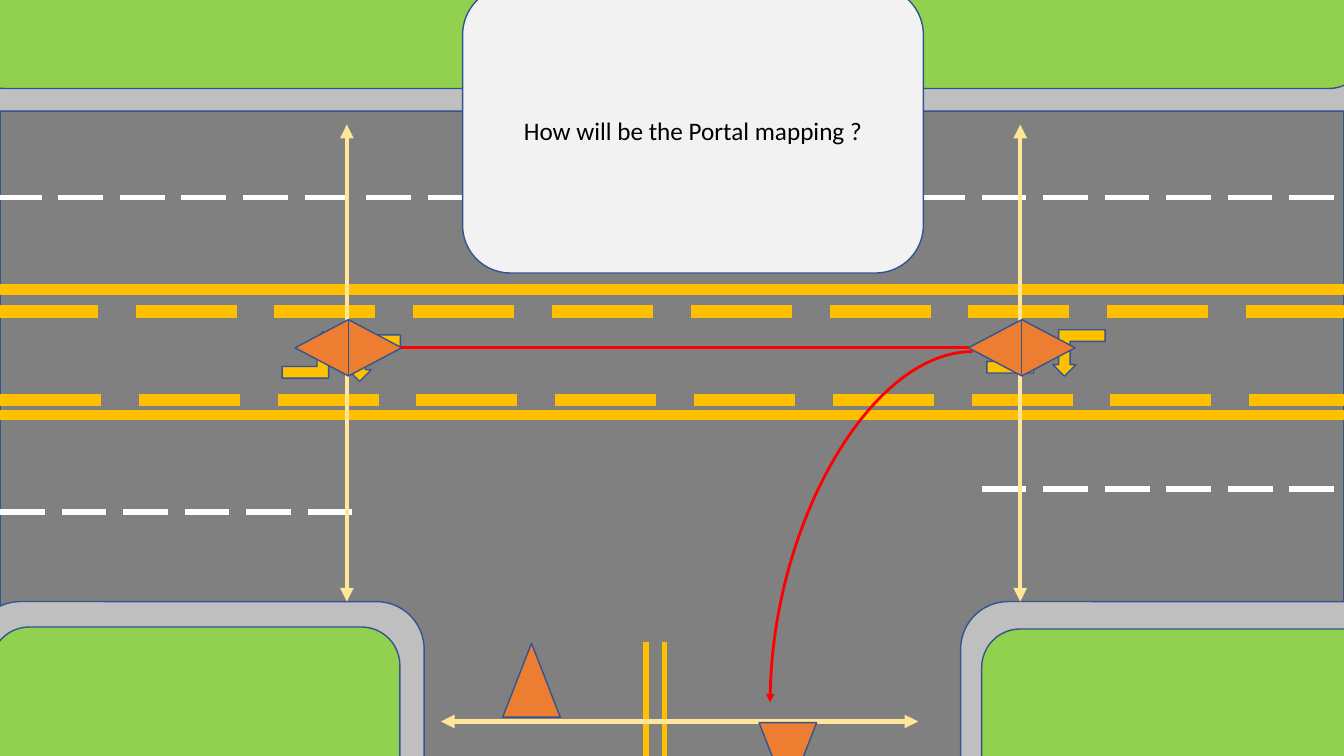
"""Build the road junction slide that asks how the portals map."""
from lxml.etree import SubElement
from pptx import Presentation
from pptx.dml.color import RGBColor
from pptx.enum.dml import MSO_LINE as Dash
from pptx.enum.shapes import MSO_CONNECTOR as Connector, MSO_SHAPE as Shape
from pptx.enum.text import MSO_ANCHOR as Anchor, PP_ALIGN as Align
from pptx.oxml.ns import qn
from pptx.util import Cm, Pt

ASPHALT = RGBColor(0x80, 0x80, 0x80)
CURB = RGBColor(0xBF, 0xBF, 0xBF)
GRASS = RGBColor(0x92, 0xD0, 0x50)
YELLOW = RGBColor(0xFF, 0xC0, 0x00)
CREAM = RGBColor(0xFF, 0xE6, 0x99)
ORANGE = RGBColor(0xED, 0x7D, 0x31)
CARD = RGBColor(0xF2, 0xF2, 0xF2)
OUTLINE = RGBColor(0x32, 0x54, 0x91)
WHITE = RGBColor(0xFF, 0xFF, 0xFF)
BLACK = RGBColor(0x00, 0x00, 0x00)
RED = RGBColor(0xFF, 0x00, 0x00)


class Junction:
    """Hold the text style and the slide, and draw each kind of element."""

    text_format = {"name": "Calibri", "size": Pt(18)}

    def __init__(self, slide):
        self.slide = slide

    def area(self, kind, left, top, width, height, color, rotation=0):
        shape = self.slide.shapes.add_shape(
            kind, Cm(left), Cm(top), Cm(width), Cm(height))
        shape.shadow.inherit = False
        shape.rotation = rotation
        shape.fill.solid()
        shape.fill.fore_color.rgb = color
        shape.line.color.rgb = OUTLINE
        shape.line.width = Pt(1)
        return shape

    def card(self, text, left, top, width, height):
        shape = self.area(Shape.ROUNDED_RECTANGLE, left, top, width, height, CARD)
        frame = shape.text_frame
        frame.word_wrap = True
        frame.vertical_anchor = Anchor.MIDDLE
        paragraph = frame.paragraphs[0]
        paragraph.alignment = Align.CENTER
        run = paragraph.add_run()
        run.text = text
        for name, value in self.text_format.items():
            setattr(run.font, name, value)
        run.font.color.rgb = BLACK

    def line(self, start, end, color, width, dash=None, arrows=(), kind=Connector.STRAIGHT):
        connector = self.slide.shapes.add_connector(
            kind, *(Cm(value) for value in (*start, *end)))
        connector.line.color.rgb = color
        connector.line.width = Pt(width)
        if dash:
            connector.line.dash_style = dash
        outline = connector.line._get_or_add_ln()
        for arrow in arrows:
            SubElement(outline, qn(f"a:{arrow}"), type="triangle")
        properties = connector.element.spPr
        SubElement(properties, qn("a:effectLst"))
        if kind == Connector.CURVE:
            properties.find(qn("a:prstGeom")).set("prst", "curvedConnector2")

    def span(self, start, end):
        self.line(start, end, CREAM, 3.25, arrows=("headEnd", "tailEnd"))

    def turn_arrows(self, left, top):
        for step, rotation in enumerate((0, 180)):
            self.area(Shape.BENT_UP_ARROW, left + 1.66 * step, top + 0.08 * step,
                      1.32, 1.17, YELLOW, rotation)

    def portal(self, center):
        self.span((center, 3.14), (center, 15.16))
        self.area(Shape.FLOWCHART_SORT, center - 0.67, 7.42, 1.42, 2.69, ORANGE, 90)


presentation = Presentation()
presentation.slide_width = Cm(33.87)
presentation.slide_height = Cm(19.05)
junction = Junction(presentation.slides.add_slide(presentation.slide_layouts[6]))

junction.area(Shape.RECTANGLE, 0, -2.54, 33.87, 24.2, ASPHALT)
for curb in ((-0.69, 15.16, 11.38, 7.21), (24.21, 15.16, 11.38, 7.21),
             (-1.19, -4.06, 36.25, 6.86)):
    junction.area(Shape.ROUNDED_RECTANGLE, *curb, CURB)

junction.turn_arrows(24.87, 8.23)
for left, right, solid, dashed in ((-0.08, 34.06, 7.29, 7.85), (0, 33.93, 10.46, 10.08)):
    junction.line((left, solid), (right, solid), YELLOW, 7.5)
    junction.line((left, dashed), (right, dashed), YELLOW, 9, Dash.LONG_DASH)
junction.turn_arrows(7.11, 8.36)

for left, right, top in ((-0.08, 33.87, 4.98), (0, 9.19, 12.9), (24.74, 33.93, 12.32)):
    junction.line((left, top), (right, top), WHITE, 4, Dash.LONG_DASH)
for lawn in ((-0.79, -3.23, 35.2, 5.46), (24.74, 15.85, 10.31, 5.82),
             (-0.23, 15.8, 10.31, 5.82)):
    junction.area(Shape.ROUNDED_RECTANGLE, *lawn, GRASS)
for left in (16.28, 16.74):
    junction.line((left, 16.18), (left, 21.59), YELLOW, 3.75)

junction.portal(8.74)
junction.card("How will be the Portal mapping ?", 11.66, -0.33, 11.61, 7.21)
junction.portal(25.71)
junction.span((23.14, 18.18), (11.11, 18.18))
for left, top, rotation in ((12.67, 16.21, 0), (19.13, 18.21, 180)):
    junction.area(Shape.ISOSCELES_TRIANGLE, left, top, 1.45, 1.86, ORANGE, rotation)

junction.line((10.11, 8.76), (24.41, 8.76), RED, 2)
junction.line((24.51, 8.86), (19.41, 17.7), RED, 2, arrows=("tailEnd",), kind=Connector.CURVE)

presentation.save("out.pptx")
